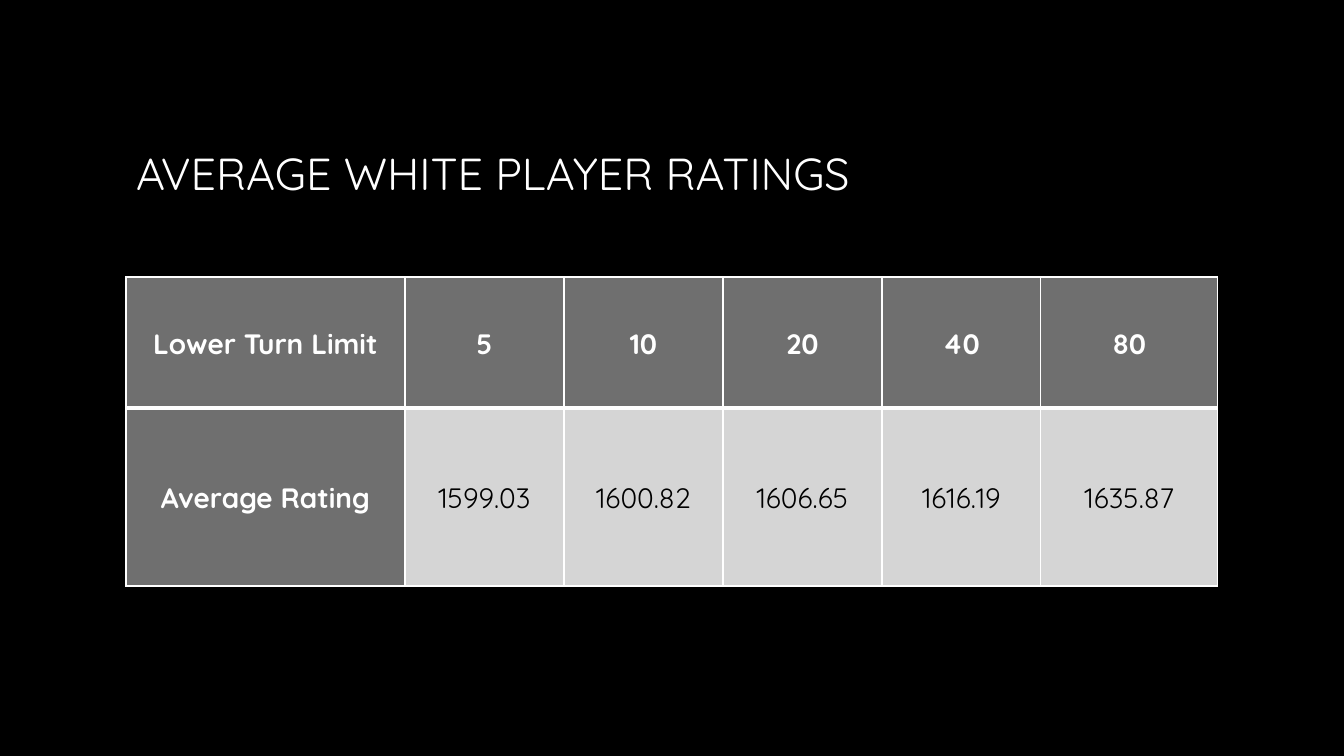
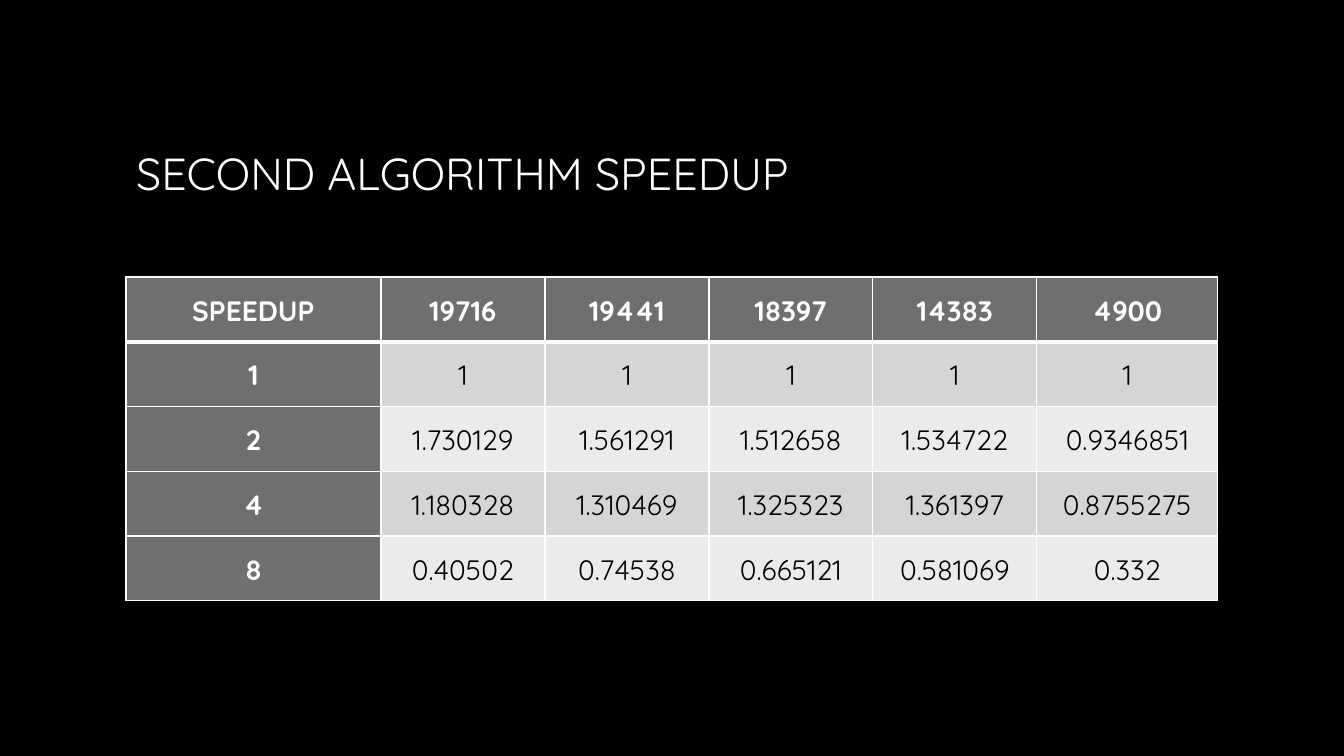
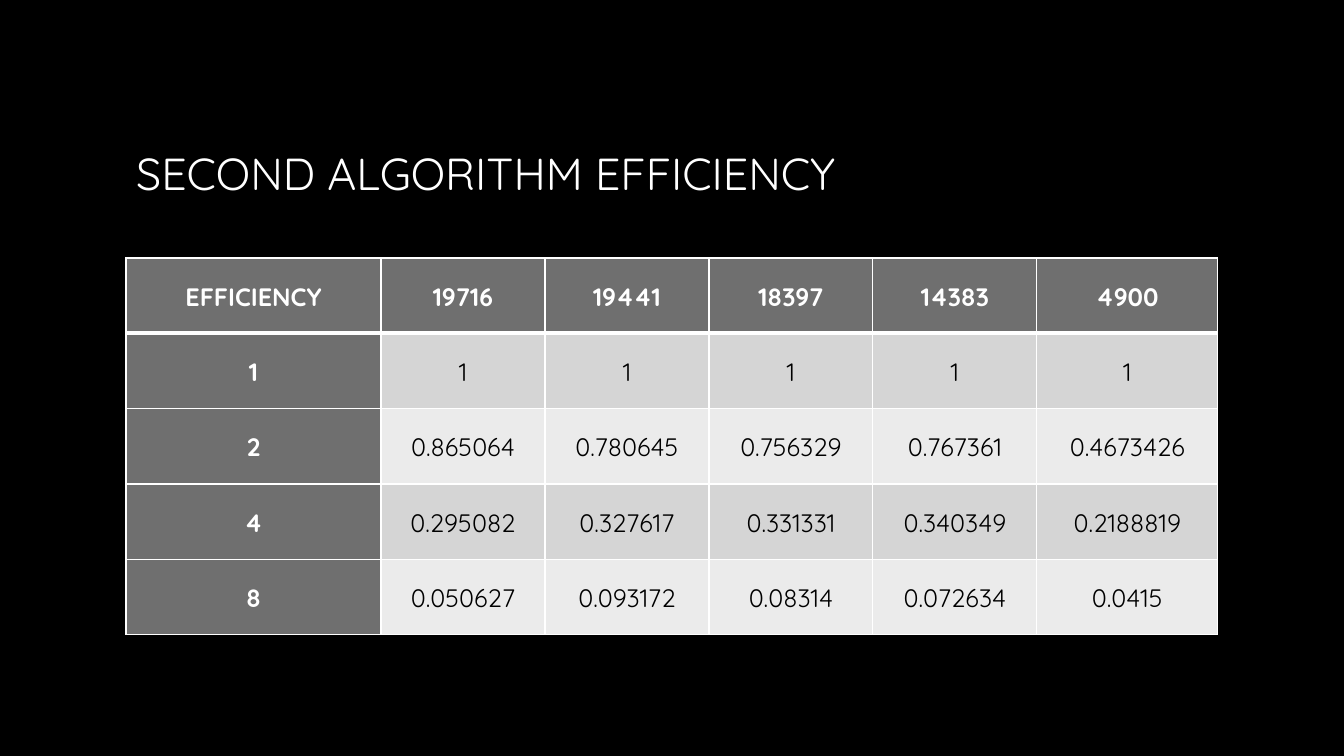
import pptx
import pptx.dml.color
import pptx.enum.text
import pptx.util
from lxml import etree
from pptx.oxml.ns import qn

SLIDE_W, SLIDE_H = 1344, 756
SCALE = 12192000 / SLIDE_W  # EMU in one px

COLORS = {
    "background": "000000",
    "light": "FFFFFF",
    "dark": "000000",
    "header": "6F6F6F",
    "odd row": "D5D5D5",
    "even row": "EBEBEB",
}
FONT = "Quicksand"
TITLE_BOX = (126, 68, 1092, 210)
TITLE_SIZE = 32
TITLE_ONLY_LAYOUT = 5
CELL_INSET = 7
THIN, THICK = 1, 3  # points

TURN_COLUMNS = (279, 159, 159, 159, 159, 177)
MOVE_COLUMNS = (255, 164, 164, 164, 164, 181)

SLIDES = [
    {
        "title": "AVERAGE WHITE PLAYER RATINGS",
        "box": (126, 277, 1092, 309),
        "columns": TURN_COLUMNS,
        "rows": (131, 178),
        "size": 20,
        "cells": [
            ["Lower Turn Limit", "5", "10", "20", "40", "80"],
            ["Average Rating", "1599.03", "1600.82", "1606.65", "1616.19", "1635.87"],
        ],
    },
    {
        "title": "SECOND ALGORITHM SPEEDUP",
        "box": (126, 277, 1092, 324),
        "columns": MOVE_COLUMNS,
        "rows": (1,) * 5,
        "size": 20,
        "cells": [
            ["SPEEDUP", "19716", "19441", "18397", "14383", "4900"],
            ["1", "1", "1", "1", "1", "1"],
            ["2", "1.730129", "1.561291", "1.512658", "1.534722", "0.9346851"],
            ["4", "1.180328", "1.310469", "1.325323", "1.361397", "0.8755275"],
            ["8", "0.40502", "0.74538", "0.665121", "0.581069", "0.332"],
        ],
    },
    {
        "title": "SECOND ALGORITHM EFFICIENCY",
        "box": (126, 258, 1092, 377),
        "columns": MOVE_COLUMNS,
        "rows": (1,) * 5,
        "size": 18,
        "cells": [
            ["EFFICIENCY", "19716", "19441", "18397", "14383", "4900"],
            ["1", "1", "1", "1", "1", "1"],
            ["2", "0.865064", "0.780645", "0.756329", "0.767361", "0.4673426"],
            ["4", "0.295082", "0.327617", "0.331331", "0.340349", "0.2188819"],
            ["8", "0.050627", "0.093172", "0.08314", "0.072634", "0.0415"],
        ],
    },
]


def px(length):
    return pptx.util.Emu(round(length * SCALE))


def rgb(name):
    return pptx.dml.color.RGBColor.from_string(COLORS[name])


def add_text(paragraph, text, size, color, bold=False):
    run = paragraph.add_run()
    run.text = text
    run.font.name = FONT
    run.font.size = pptx.util.Pt(size)
    run.font.bold = bold
    run.font.color.rgb = rgb(color)


def share_out(lengths, total, weights):
    """Size table columns or rows in proportion to their weights."""
    for length, weight in zip(lengths, weights):
        yield length, px(total * weight / sum(weights))


def add_title(slide, text, box):
    title = slide.shapes.title
    title.left, title.top, title.width, title.height = map(px, box)
    frame = title.text_frame
    frame.word_wrap = True
    frame.auto_size = pptx.enum.text.MSO_AUTO_SIZE.NONE
    frame.vertical_anchor = pptx.enum.text.MSO_ANCHOR.MIDDLE
    heading = frame.paragraphs[0]
    heading.alignment = pptx.enum.text.PP_ALIGN.LEFT
    add_text(heading, text, TITLE_SIZE, "light")


def add_borders(cell, row):
    # The rule under the header row is thick on both cells that share it
    widths = {
        "a:lnL": THIN,
        "a:lnR": THIN,
        "a:lnT": THICK if row == 1 else THIN,
        "a:lnB": THICK if row == 0 else THIN,
    }
    properties = cell._tc.get_or_add_tcPr()
    for side, width in widths.items():
        line = etree.SubElement(properties, qn(side), w=str(pptx.util.Pt(width)))
        fill = etree.SubElement(line, qn("a:solidFill"))
        etree.SubElement(fill, qn("a:srgbClr"), val=COLORS["light"])


def fill_cell(cell, text, row, column, size):
    is_header = row == 0 or column == 0
    add_borders(cell, row)
    cell.fill.solid()
    band = "odd row" if row % 2 else "even row"
    cell.fill.fore_color.rgb = rgb("header" if is_header else band)
    cell.margin_left = cell.margin_right = px(CELL_INSET)
    cell.margin_top = cell.margin_bottom = 0
    cell.vertical_anchor = pptx.enum.text.MSO_ANCHOR.MIDDLE
    value = cell.text_frame.paragraphs[0]
    value.alignment = pptx.enum.text.PP_ALIGN.CENTER
    value.line_spacing = 1.07
    add_text(value, text, size, "light" if is_header else "dark", is_header)


def add_results(slide, box, columns, rows, cells, size):
    frame = slide.shapes.add_table(len(rows), len(columns), *map(px, box))
    results = frame.table
    for column, width in share_out(results.columns, box[2], columns):
        column.width = width
    for row, height in share_out(results.rows, box[3], rows):
        row.height = height
    for r, texts in enumerate(cells):
        for c, text in enumerate(texts):
            fill_cell(results.cell(r, c), text, r, c, size)


def main():
    deck = pptx.Presentation()
    deck.slide_width, deck.slide_height = px(SLIDE_W), px(SLIDE_H)

    # Shared background
    background = deck.slide_master.background.fill
    background.solid()
    background.fore_color.rgb = rgb("background")

    for content in SLIDES:
        slide = deck.slides.add_slide(deck.slide_layouts[TITLE_ONLY_LAYOUT])
        add_title(slide, content["title"], TITLE_BOX)
        add_results(slide, content["box"], content["columns"], content["rows"],
                    content["cells"], content["size"])
    deck.save("out.pptx")


if __name__ == "__main__":
    main()
